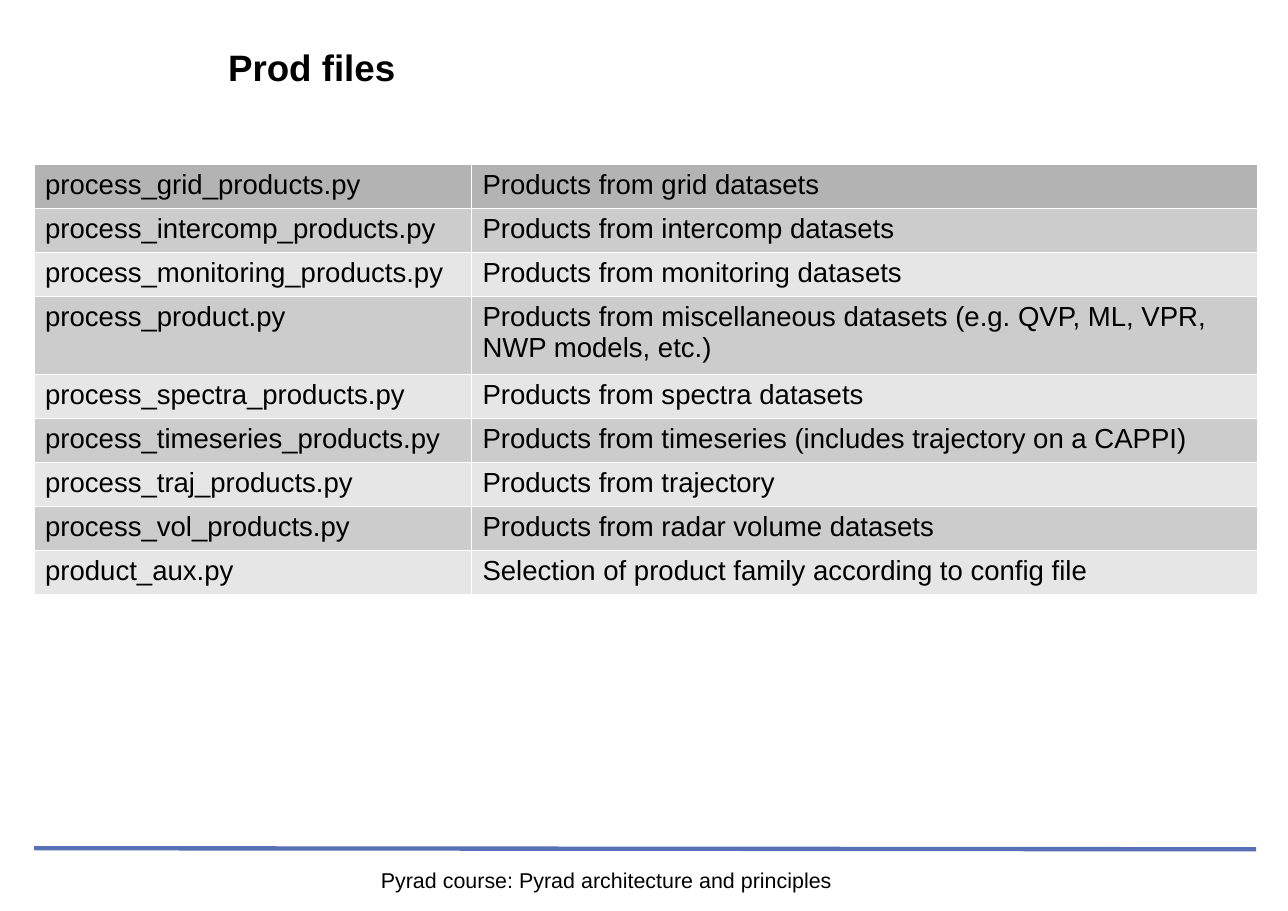
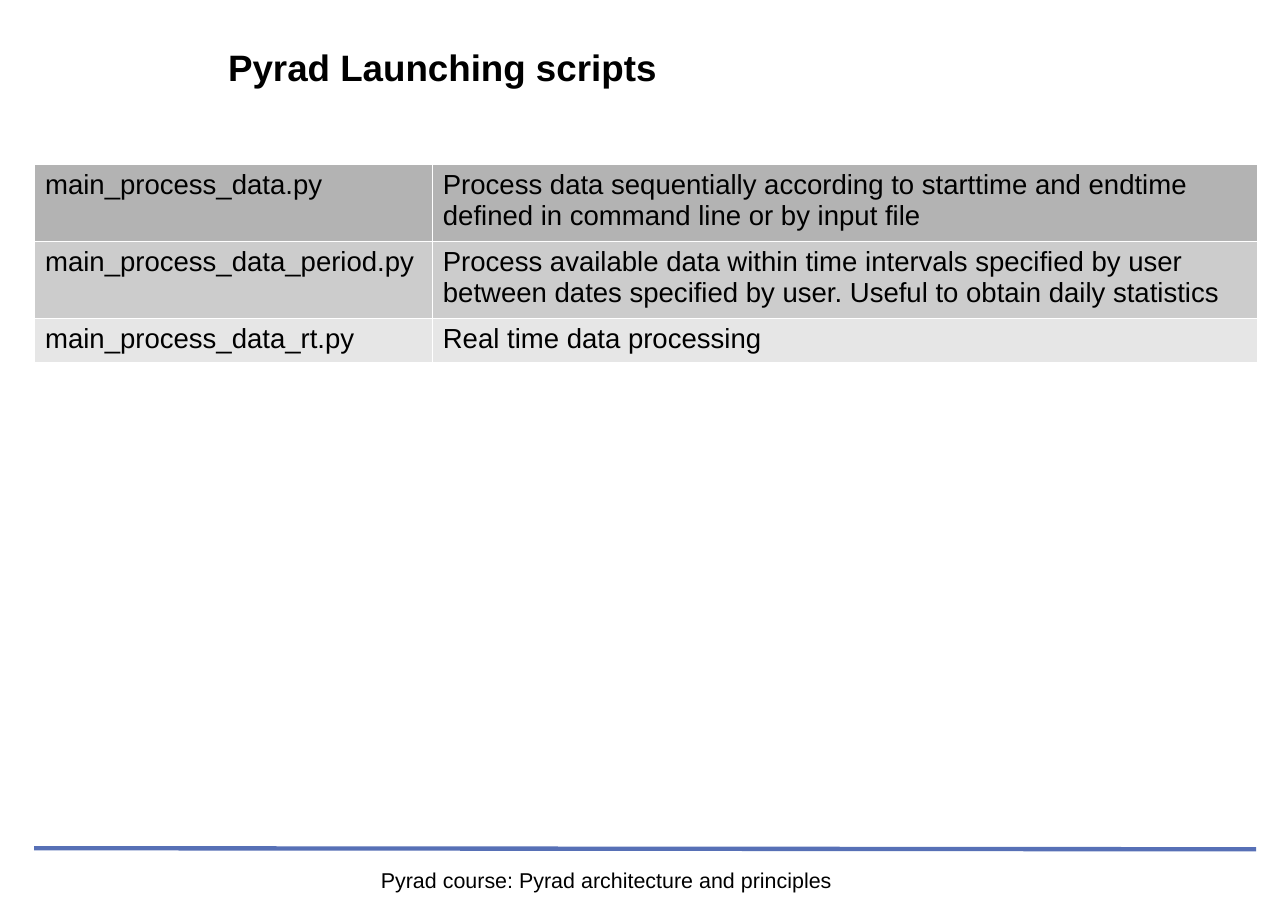
from dataclasses import dataclass

from lxml import etree
from pptx import Presentation
from pptx import util as u
from pptx.dml.color import RGBColor
from pptx.enum import shapes, text
from pptx.oxml.ns import qn
from pptx.util import Inches


@dataclass(frozen=True)
class Theme:
    font: str = "Arial"
    ink: str = "000000"
    paper: str = "FFFFFF"
    rule: str = "5770B6"
    head: str = "B3B3B3"
    bands: tuple[str, str] = ("CCCCCC", "E6E6E6")
    title_size: int = 24
    table_size: int = 18
    footer_size: int = 14
    rule_width: float = 2.83
    border_width: float = 0.06


@dataclass(frozen=True)
class Row:
    script: str
    purpose: str
    lines: int = 1


@dataclass(frozen=True)
class ScriptSlide:
    title: str
    name_width: float
    rows: tuple[Row, ...]


T = Theme()
FOOTER = "Pyrad course: Pyrad architecture and principles"
TABLE_LEFT, TABLE_TOP, TABLE_WIDTH = 0.31, 1.49, 11.1
ROW_HEIGHT, EXTRA_LINE = 0.4, 0.3

SLIDES = (
    ScriptSlide("Prod files", 3.97, (
        Row("process_grid_products.py", "Products from grid datasets"),
        Row("process_intercomp_products.py", "Products from intercomp datasets"),
        Row("process_monitoring_products.py", "Products from monitoring datasets"),
        Row("process_product.py",
            "Products from miscellaneous datasets (e.g. QVP, ML, VPR, "
            "NWP models, etc.)", 2),
        Row("process_spectra_products.py", "Products from spectra datasets"),
        Row("process_timeseries_products.py",
            "Products from timeseries (includes trajectory on a CAPPI)"),
        Row("process_traj_products.py", "Products from trajectory"),
        Row("process_vol_products.py", "Products from radar volume datasets"),
        Row("product_aux.py",
            "Selection of product family according to config file"),
    )),
    ScriptSlide("Pyrad Launching scripts", 3.61, (
        Row("main_process_data.py",
            "Process data sequentially according to starttime and endtime "
            "defined in command line or by input file", 2),
        Row("main_process_data_period.py",
            "Process available data within time intervals specified by user "
            "between dates specified by user. Useful to obtain daily "
            "statistics", 2),
        Row("main_process_data_rt.py", "Real time data processing"),
    )),
)


def rgb(color: str) -> RGBColor:
    return RGBColor.from_string(color)


def write(tf, words: str, *, size: int, bold: bool = False,
          align=text.PP_ALIGN.LEFT, anchor=text.MSO_ANCHOR.TOP,
          inset: tuple[float, float] = (0, 0)) -> None:
    """Fill a text frame with one formatted paragraph."""
    tf.word_wrap = True
    tf.vertical_anchor = anchor
    tf.margin_left = tf.margin_right = Inches(inset[0])
    tf.margin_top = tf.margin_bottom = Inches(inset[1])
    p = tf.paragraphs[0]
    p.alignment = align
    r = p.add_run()
    r.text = words
    r.font.name, r.font.size, r.font.bold = T.font, u.Pt(size), bold
    r.font.color.rgb = rgb(T.ink)


def add_frame(s, title: str) -> None:
    """Draw what every slide shares: title, rule and footer."""
    sp = s.shapes.title
    sp.left, sp.top = Inches(2.07), Inches(0.27)
    sp.width, sp.height = Inches(9.24), Inches(0.67)
    sp.fill.solid()
    sp.fill.fore_color.rgb = rgb(T.paper)
    write(sp.text_frame, title, size=T.title_size, bold=True,
          anchor=text.MSO_ANCHOR.MIDDLE)
    sp.text_frame.auto_size = text.MSO_AUTO_SIZE.NONE

    rule = s.shapes.add_connector(shapes.MSO_CONNECTOR.STRAIGHT, Inches(0.31),
                                  Inches(7.7), Inches(11.4), Inches(7.71))
    rule.line.color.rgb = rgb(T.rule)
    rule.line.width = u.Pt(T.rule_width)
    etree.SubElement(rule._element.spPr, qn("a:effectLst"))

    footer = s.shapes.add_textbox(Inches(1.49), Inches(7.87),
                                  Inches(8.03), Inches(0.39))
    write(footer.text_frame, FOOTER, size=T.footer_size,
          align=text.PP_ALIGN.CENTER)


def add_borders(cell) -> None:
    """Put a hairline on all four sides; lines come before the cell fill."""
    tc_pr = cell._tc.get_or_add_tcPr()
    for i, side in enumerate(("lnL", "lnR", "lnT", "lnB")):
        ln = etree.Element(qn(f"a:{side}"), w=str(int(u.Pt(T.border_width))))
        fill = etree.SubElement(ln, qn("a:solidFill"))
        etree.SubElement(fill, qn("a:srgbClr"), val=T.paper)
        tc_pr.insert(i, ln)


def add_script_table(s, rows: tuple[Row, ...], name_width: float) -> None:
    heights = [ROW_HEIGHT + EXTRA_LINE * (row.lines - 1) for row in rows]
    table = s.shapes.add_table(len(rows), 2, Inches(TABLE_LEFT),
                               Inches(TABLE_TOP), Inches(TABLE_WIDTH),
                               Inches(sum(heights))).table
    table.first_row = table.horz_banding = False
    table.columns[0].width = Inches(name_width)
    table.columns[1].width = Inches(TABLE_WIDTH - name_width)
    for i, (row, height) in enumerate(zip(rows, heights)):
        table.rows[i].height = Inches(height)
        color = T.bands[(i - 1) % 2] if i else T.head
        for j, words in enumerate((row.script, row.purpose)):
            cell = table.cell(i, j)
            cell.fill.solid()
            cell.fill.fore_color.rgb = rgb(color)
            add_borders(cell)
            # Cell margins live on the cell, so its frame gets the same inset.
            cell.margin_left = cell.margin_right = Inches(0.1)
            cell.margin_top = cell.margin_bottom = Inches(0.05)
            write_cell(cell, words)


def write_cell(cell, words: str) -> None:
    p = cell.text_frame.paragraphs[0]
    r = p.add_run()
    r.text = words
    r.font.name, r.font.size, r.font.bold = T.font, u.Pt(T.table_size), False
    r.font.color.rgb = rgb(T.ink)


def main() -> None:
    prs = Presentation()
    prs.slide_width, prs.slide_height = Inches(11.69), Inches(8.27)
    for content in SLIDES:
        s = prs.slides.add_slide(prs.slide_layouts[5])
        add_frame(s, content.title)
        add_script_table(s, content.rows, content.name_width)
    prs.save("out.pptx")


if __name__ == "__main__":
    main()
